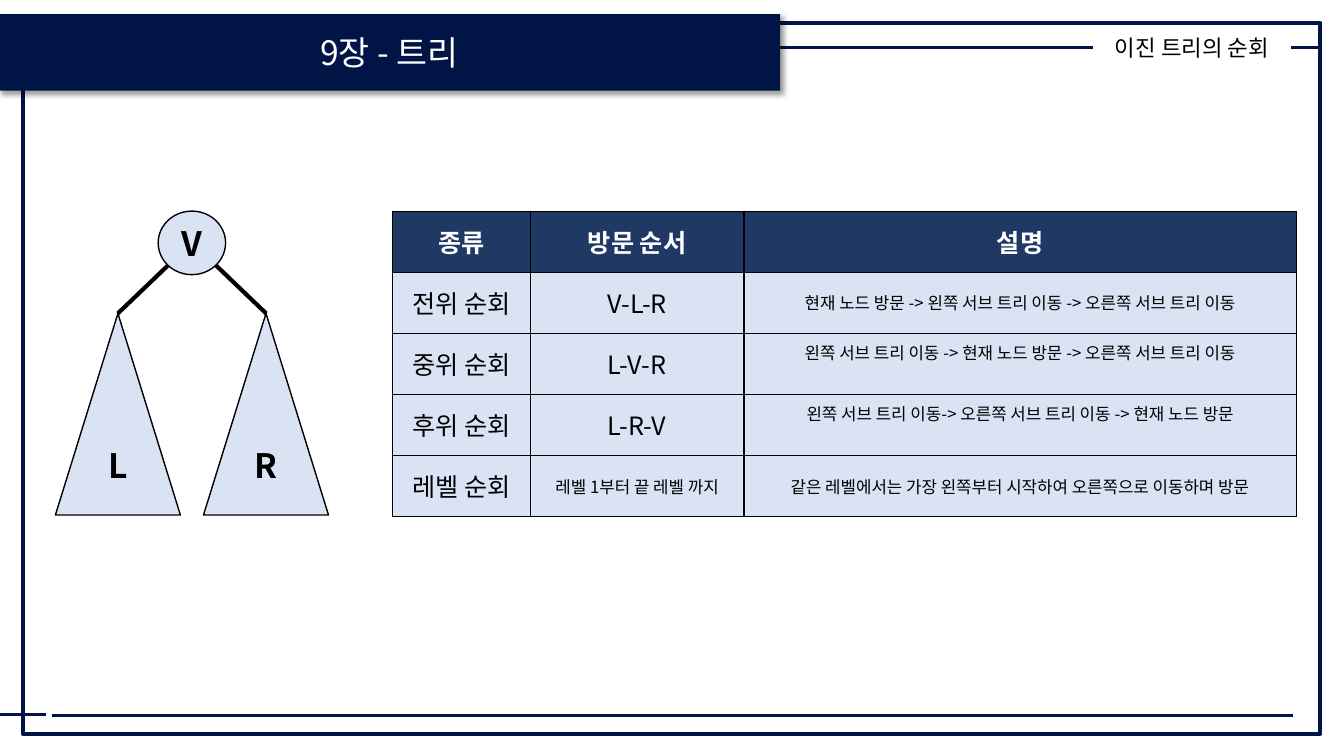
import dataclasses
from typing import Any

import lxml.etree
import pptx
import pptx.dml.color
import pptx.enum.shapes
import pptx.enum.text
import pptx.oxml.ns
import pptx.util

Pt = pptx.util.Pt
qn = pptx.oxml.ns.qn
SHAPE = pptx.enum.shapes.MSO_SHAPE
ANCHOR = pptx.enum.text.MSO_ANCHOR
AUTO_SIZE = pptx.enum.text.MSO_AUTO_SIZE

FONT = "Noto Sans CJK KR"
NAVY, HEADER, PALE = "001545", "203864", "DAE3F3"
BLACK, WHITE = "000000", "FFFFFF"


@dataclasses.dataclass
class Line:
    x1: float
    y1: float
    x2: float
    y2: float
    color: str = NAVY
    width: float = 2


@dataclasses.dataclass
class Node:
    kind: Any
    text: str
    x: float
    y: float
    w: float
    h: float


@dataclasses.dataclass
class Cell:
    text: str
    size: float = 18
    bottom: float = 3.6


RULES = [
    Line(780.5, 33.8, -1.4, 33.8),
    Line(923.8, 511.2, 37.4, 511.2),
    Line(943.2, 33.8, 922.3, 33.8),
    Line(33.1, 510.5, -5, 510.5),
]
BRANCHES = [
    Line(120.2, 189.4, 84.2, 223.9, BLACK, 3),
    Line(154.1, 189.4, 190.1, 223.9, BLACK, 3),
]
NODES = [
    Node(SHAPE.OVAL, "V", 113, 150.8, 48.2, 45.4),
    Node(SHAPE.ISOSCELES_TRIANGLE, "L", 39.6, 223.9, 89.3, 144),
    Node(SHAPE.ISOSCELES_TRIANGLE, "R", 145.4, 223.9, 89.3, 144),
]
COLUMNS = [98.6, 152.6, 394.6]
ROW_HEIGHT = 43.6
RAISED = 19.6  # bottom margin that lifts a line above the middle of its cell
ROWS = [
    [Cell("종류"), Cell("방문 순서"), Cell("설명")],
    [Cell("전위 순회"), Cell("V-L-R"),
     Cell("현재 노드 방문 -> 왼쪽 서브 트리 이동 -> 오른쪽 서브 트리 이동", 12)],
    [Cell("중위 순회"), Cell("L-V-R"),
     Cell("왼쪽 서브 트리 이동 -> 현재 노드 방문 -> 오른쪽 서브 트리 이동", 12, RAISED)],
    [Cell("후위 순회"), Cell("L-R-V"),
     Cell("왼쪽 서브 트리 이동-> 오른쪽 서브 트리 이동 -> 현재 노드 방문", 12, RAISED)],
    [Cell("레벨 순회"), Cell("레벨 1부터 끝 레벨 까지", 12),
     Cell("같은 레벨에서는 가장 왼쪽부터 시작하여 오른쪽으로 이동하며 방문", 12)],
]


def rgb(color: str) -> pptx.dml.color.RGBColor:
    return pptx.dml.color.RGBColor.from_string(color)


def add_xml(parent: Any, tag: str, **attrs: str) -> Any:
    return lxml.etree.SubElement(parent, qn(tag), attrs)


def paint(target: Any, color: str) -> None:
    target.fill.solid()
    target.fill.fore_color.rgb = rgb(color)


def outline(sp: Any, color: str, width: float) -> None:
    sp.line.color.rgb = rgb(color)
    sp.line.width = Pt(width)


def write(tf: Any, text: str, size: float, color: str = BLACK, bold: bool = False) -> None:
    p = tf.paragraphs[0]
    p.alignment = pptx.enum.text.PP_ALIGN.CENTER
    r = p.add_run()
    r.text = text
    r.font.name = FONT
    r.font.size = Pt(size)
    r.font.bold = bold
    r.font.color.rgb = rgb(color)
    add_xml(r.font._element, "a:ea", typeface=FONT)


def draw_line(shapes: Any, line: Line) -> None:
    sp = shapes.add_connector(pptx.enum.shapes.MSO_CONNECTOR.STRAIGHT,
                              Pt(line.x1), Pt(line.y1), Pt(line.x2), Pt(line.y2))
    outline(sp, line.color, line.width)
    add_xml(sp.element.spPr, "a:effectLst")


def draw_node(shapes: Any, node: Node) -> None:
    sp = shapes.add_shape(node.kind, Pt(node.x), Pt(node.y), Pt(node.w), Pt(node.h))
    sp.shadow.inherit = False
    paint(sp, PALE)
    outline(sp, BLACK, 1)
    sp.text_frame.vertical_anchor = ANCHOR.MIDDLE
    write(sp.text_frame, node.text, 24, bold=True)


def draw_banner(sp: Any, text: str) -> None:
    sp.left, sp.top, sp.width, sp.height = Pt(-1.4), Pt(10.1), Pt(558.7), Pt(54.7)
    paint(sp, NAVY)
    effects = add_xml(sp.element.spPr, "a:effectLst")
    shadow = add_xml(effects, "a:outerShdw", blurRad=str(Pt(4)), dist=str(Pt(3)),
                     dir="2700000", algn="tl", rotWithShape="0")
    add_xml(add_xml(shadow, "a:srgbClr", val=BLACK), "a:alpha", val="40000")
    tf = sp.text_frame
    tf.auto_size = AUTO_SIZE.NONE
    tf.vertical_anchor = ANCHOR.MIDDLE
    write(tf, text, 24, WHITE)


def draw_table(shapes: Any, rows: list[list[Cell]]) -> None:
    table = shapes.add_table(len(rows), len(COLUMNS), Pt(280.2), Pt(150.8),
                             Pt(sum(COLUMNS)), Pt(ROW_HEIGHT * len(rows))).table
    table.horz_banding = False
    for column, width in zip(table.columns, COLUMNS):
        column.width = Pt(width)
    for i, row in enumerate(rows):
        table.rows[i].height = Pt(ROW_HEIGHT)
        for j, item in enumerate(row):
            cell = table.cell(i, j)
            cell.vertical_anchor = ANCHOR.MIDDLE
            cell.margin_bottom = Pt(item.bottom)
            for side in ("a:lnL", "a:lnR", "a:lnT", "a:lnB"):
                border = add_xml(cell._tc.get_or_add_tcPr(), side, w=str(Pt(1)))
                add_xml(add_xml(border, "a:solidFill"), "a:srgbClr", val=BLACK)
            is_header = i == 0
            paint(cell, HEADER if is_header else PALE)
            write(cell.text_frame, item.text, item.size,
                  WHITE if is_header else BLACK, is_header)


def main() -> None:
    prs = pptx.Presentation()
    prs.slide_width, prs.slide_height = Pt(960), Pt(540)
    s = prs.slides.add_slide(prs.slide_layouts[5])

    # Frame and rules
    frame = s.shapes.add_shape(SHAPE.RECTANGLE, Pt(16.5), Pt(16.5), Pt(926.7), Pt(507.6))
    frame.shadow.inherit = False
    frame.fill.background()
    outline(frame, NAVY, 3)
    for rule in RULES:
        draw_line(s.shapes, rule)

    # Chapter banner, stacked above the frame
    title = s.shapes.title
    draw_banner(title, "9장 - 트리")
    title.element.getparent().append(title.element)

    # Section name
    section = s.shapes.add_textbox(Pt(771.8), Pt(20.9), Pt(159.1), Pt(26.6))
    section.text_frame.word_wrap = True
    section.text_frame.auto_size = AUTO_SIZE.SHAPE_TO_FIT_TEXT
    write(section.text_frame, "이진 트리의 순회", 16)

    # Tree diagram
    tree = s.shapes.add_group_shape()
    for branch in BRANCHES:
        draw_line(tree.shapes, branch)
    for node in NODES:
        draw_node(tree.shapes, node)

    # Traversal table
    draw_table(s.shapes, ROWS)
    prs.save("out.pptx")


if __name__ == "__main__":
    main()
